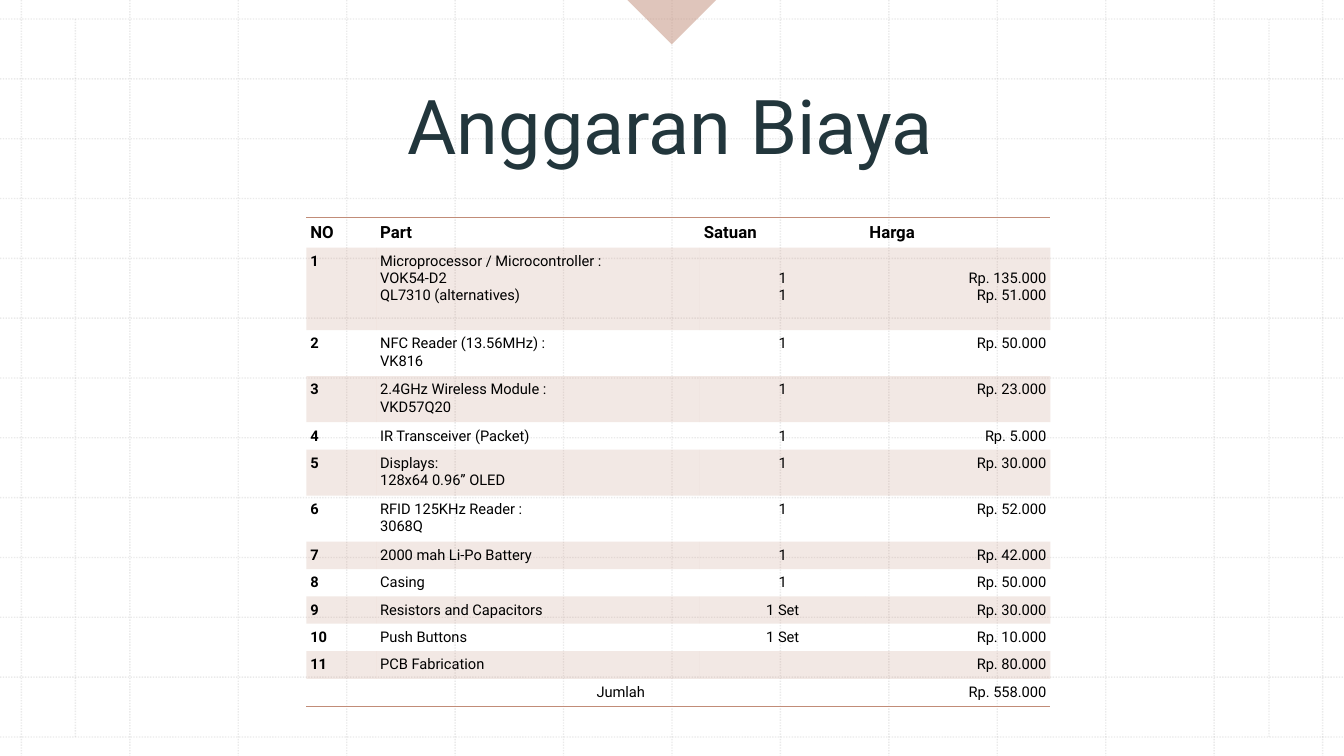
from lxml.etree import SubElement
from pptx import Presentation
from pptx.dml.color import RGBColor
from pptx.enum.dml import MSO_LINE
from pptx.enum.shapes import MSO_CONNECTOR, MSO_SHAPE
from pptx.enum.text import MSO_ANCHOR, MSO_AUTO_SIZE, PP_ALIGN
from pptx.oxml import parse_xml
from pptx.oxml.ns import nsdecls, qn
from pptx.util import Cm, Pt

WIDE, HIGH = 33.87, 19.05
FONT, CLAY, INK, GREY = "Roboto", "C18C78", "22363C", "BCBCBC"
PLAIN = "{2D5ABB26-0587-4C30-8999-92F81FD0307C}"
LINE = 0.43  # height of one line of table text

HEAD = ("NO", "Part", "Satuan", "Harga")
ITEMS = [
    ("Microprocessor / Microcontroller :\vVOK54-D2\nQL7310 (alternatives)",
     "1\n1", "Rp. 135.000\nRp. 51.000"),
    ("NFC Reader (13.56MHz) :\nVK816", "1", "Rp. 50.000"),
    ("2.4GHz Wireless Module :\nVKD57Q20", "1", "Rp. 23.000"),
    ("IR Transceiver (Packet)", "1", "Rp. 5.000"),
    ("Displays:\v128x64 0.96” OLED", "1", "Rp. 30.000"),
    ("RFID 125KHz Reader :\v3068Q", "1", "Rp. 52.000"),
    ("2000 mah Li-Po Battery", "1", "Rp. 42.000"),
    ("Casing", "1", "Rp. 50.000"),
    ("Resistors and Capacitors", "1 Set", "Rp. 30.000"),
    ("Push Buttons", "1 Set", "Rp. 10.000"),
    ("PCB Fabrication", "", "Rp. 80.000"),
]
WIDTHS = (1.76, 8.16, 4.17, 4.66)
HEIGHTS = (0.76, 2.08, 1.16, 1.16, 0.69, 1.16, 1.16) + (0.69,) * 6
ALIGNS = (PP_ALIGN.LEFT, PP_ALIGN.LEFT, PP_ALIGN.CENTER, PP_ALIGN.RIGHT)


def apply(target, values):
    for name, value in values.items():
        setattr(target, name, value)


def paint(fill, color, alpha=100):
    fill.solid()
    fill.fore_color.rgb = RGBColor.from_string(color)
    if alpha < 100:
        tint = fill._xPr.find(".//" + qn("a:srgbClr"))
        SubElement(tint, qn("a:alpha"), val=str(alpha * 1000))


def style(par, size, color, bold=False, **form):
    apply(par, form)
    for run in par.runs:
        apply(run.font, {"name": FONT, "size": Pt(size), "bold": bold})
        paint(run.font.fill, color)


# Dotted grid behind everything
def draw_grid(slide, left, top, width, height, steps=12):
    group = slide.shapes.add_group_shape()

    def rule(x1, y1, x2, y2):
        line = group.shapes.add_connector(
            MSO_CONNECTOR.STRAIGHT, Cm(x1), Cm(y1), Cm(x2), Cm(y2))
        paint(line.line.fill, GREY, 30)
        apply(line.line, {"width": Pt(1), "dash_style": MSO_LINE.ROUND_DOT})
        SubElement(line._element.spPr, qn("a:effectLst"))

    for i in range(steps + 1):
        x, y = left + width * i / steps, top + height * i / steps
        rule(x, 0, x, HIGH)
        rule(0, y, WIDE, y)
    for x in (1.9, 31.98):  # inner margins
        rule(x, top, x, top + height)


# Corner pointing down from the top edge
def draw_mark(slide, left, top, side):
    mark = slide.shapes.add_shape(
        MSO_SHAPE.RIGHT_TRIANGLE, Cm(left), Cm(top), Cm(side), Cm(side))
    mark.rotation = 315
    mark.shadow.inherit = False
    paint(mark.fill, CLAY, 50)
    mark.line.fill.background()


# Heading
def draw_title(slide, left, top, width, height):
    title = slide.shapes.title
    apply(title, {"left": Cm(left), "top": Cm(top),
                  "width": Cm(width), "height": Cm(height)})
    frame = title.text_frame
    frame.text = "Anggaran Biaya"
    apply(frame, {"auto_size": MSO_AUTO_SIZE.NONE, "word_wrap": True,
                  "vertical_anchor": MSO_ANCHOR.BOTTOM})
    style(frame.paragraphs[0], 54, INK,
          alignment=PP_ALIGN.CENTER, line_spacing=0.9)
    slide.shapes._spTree.append(title._element)  # bring above the grid


def edge(cell, side):
    cell._tc.get_or_add_tcPr().insert(0, parse_xml(
        f'<a:{side} {nsdecls("a")} w="12192"><a:solidFill>'
        f'<a:srgbClr val="{CLAY}"/></a:solidFill></a:{side}>'))


def fill_cell(cell, text, row, col, last):
    head = row == 0
    drop = LINE if row == 1 and col > 1 else 0  # starts on the second line
    apply(cell, {"margin_left": Cm(0.1), "margin_right": Cm(0.1),
                 "margin_top": Cm(0.13 + drop), "margin_bottom": Cm(0.12),
                 "vertical_anchor": MSO_ANCHOR.BOTTOM if head
                 else MSO_ANCHOR.TOP})
    cell.text = text
    align = ALIGNS[0] if head else ALIGNS[col]
    if row == last and col == 1:
        align = PP_ALIGN.CENTER
    for par in cell.text_frame.paragraphs:
        style(par, 12 if head else 10.5, "000000",
              head or col == 0, alignment=align)
        if not text:
            SubElement(par._p, qn("a:endParaRPr"), sz="1050")
    if row % 2 and row < last:
        paint(cell.fill, CLAY, 20)
    else:
        cell.fill.background()
    if head:
        edge(cell, "lnT")
    elif row == last:
        edge(cell, "lnB")


# Cost table
def draw_costs(slide, left, top):
    rows = [HEAD]
    rows += [(str(i), *item) for i, item in enumerate(ITEMS, 1)]
    rows.append(("", "Jumlah", "", "Rp. 558.000"))
    last = len(rows) - 1
    table = slide.shapes.add_table(
        len(rows), len(HEAD), Cm(left), Cm(top),
        Cm(sum(WIDTHS)), Cm(sum(HEIGHTS))).table
    apply(table, {"first_row": False, "horz_banding": False})
    table._tbl.tblPr.find(qn("a:tableStyleId")).text = PLAIN
    for col, width in zip(table.columns, WIDTHS):
        col.width = Cm(width)
    for r, (texts, height) in enumerate(zip(rows, HEIGHTS)):
        table.rows[r].height = Cm(height)
        for c, text in enumerate(texts):
            fill_cell(table.cell(r, c), text, r, c, last)
    table.cell(last, 1).merge(table.cell(last, 2))


def main():
    deck = Presentation()
    apply(deck, {"slide_width": Cm(WIDE), "slide_height": Cm(HIGH)})
    slide = deck.slides.add_slide(deck.slide_layouts[5])
    paint(slide.background.fill, "FFFFFF")
    draw_grid(slide, 0.54, 0.48, 32.79, 18.09)
    draw_mark(slide, 16.14, -0.79, 1.58)
    draw_title(slide, 3.25, 2, 27.28, 2.42)
    draw_costs(slide, 7.72, 5.48)
    deck.save("out.pptx")


if __name__ == "__main__":
    main()
